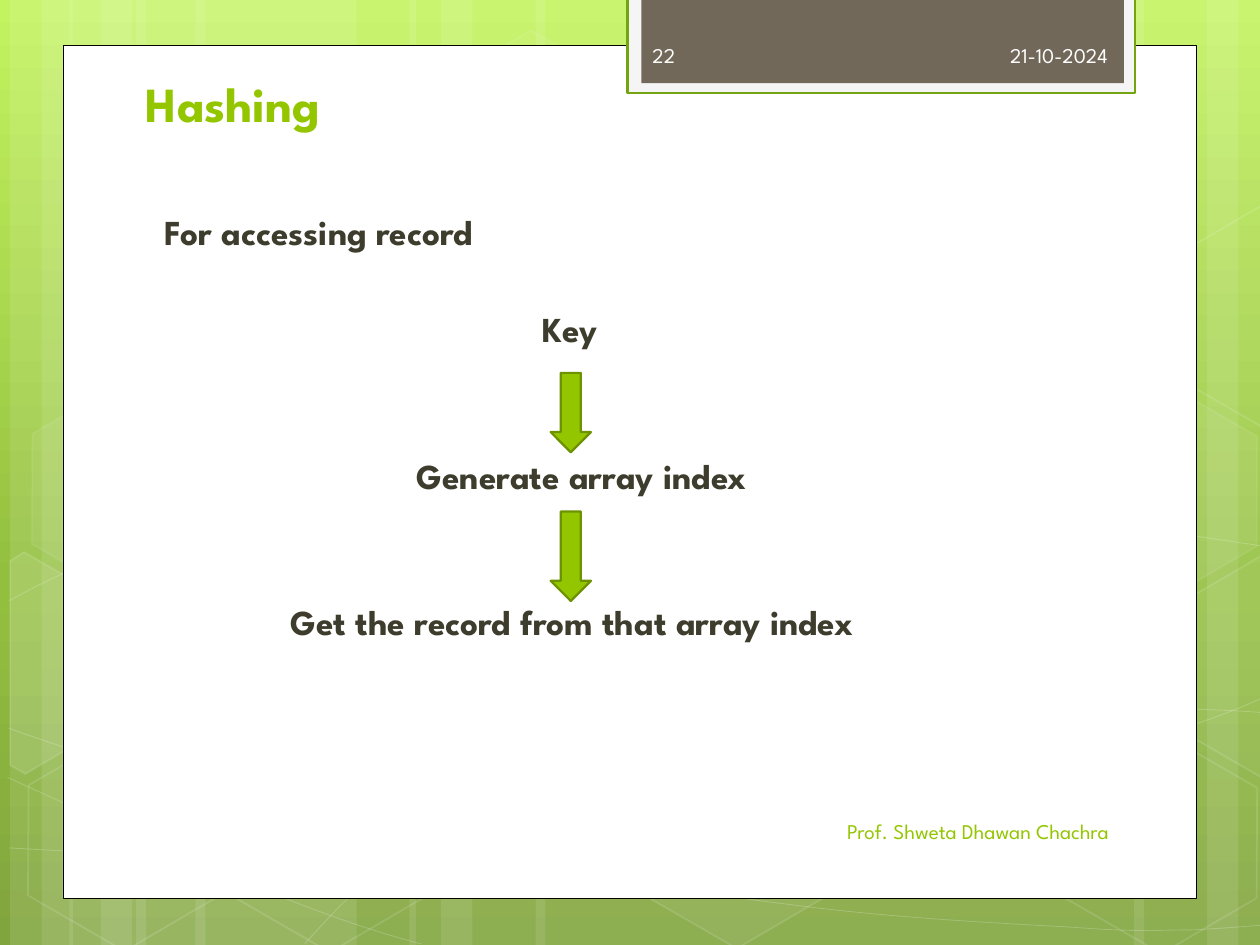
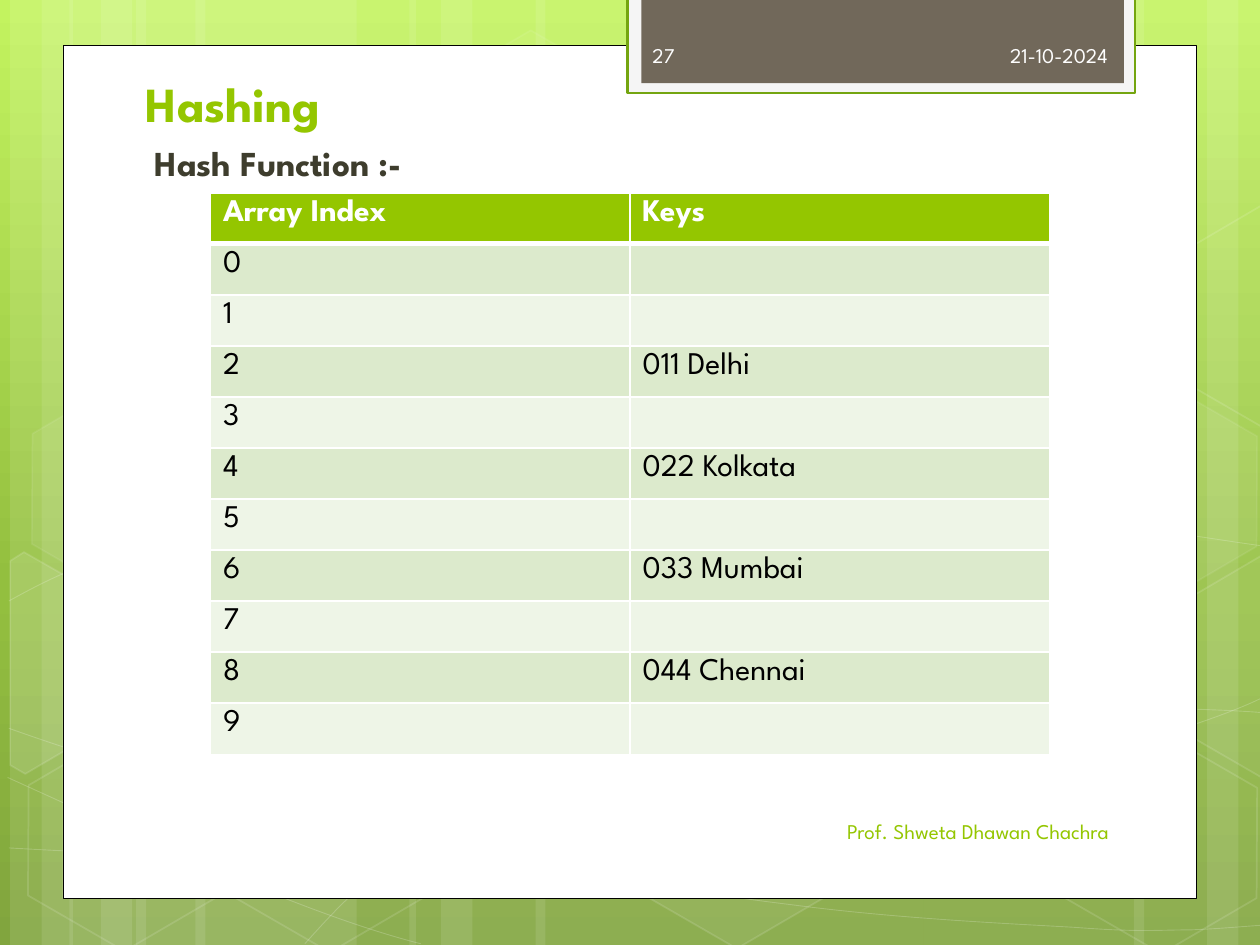
import copy
import math

import lxml.etree
import pptx
import pptx.dml.color
import pptx.enum.shapes
import pptx.enum.text
import pptx.oxml.ns
import pptx.util

FONT = "League Spartan"
WHITE, LIME, DARK_LIME = "FFFFFF", "94C600", "6D9200"
INK, TAB_TEXT = "3E3D2D", "FEFEFE"
SKY = [(0, "C3F35F"), (0.62, "93BF3F"), (1, "81A53E")]

SHAPES = pptx.enum.shapes.MSO_SHAPE
LEFT, RIGHT = pptx.enum.text.PP_ALIGN.LEFT, pptx.enum.text.PP_ALIGN.RIGHT
TOP = pptx.enum.text.MSO_ANCHOR.TOP
MIDDLE = pptx.enum.text.MSO_ANCHOR.MIDDLE
BOTTOM = pptx.enum.text.MSO_ANCHOR.BOTTOM
qn = pptx.oxml.ns.qn

deck = pptx.Presentation()
deck.slide_width = pptx.util.Inches(10)
deck.slide_height = pptx.util.Inches(7.5)
col = deck.slide_width / 10
row = deck.slide_height / 7.5

bands = [(1.08, 1.75), (0.08, 0.5), (0.33, 0.83), (1.55, 1.75), (0.55, 0.5),
         (0.8, 0.83), (7.33, 1.75), (9.58, 0.5), (9, 0.83), (4.25, 3.08),
         (3.25, 0.5), (3.5, 0.83)]

curves = [
    [(0.07, 6.73), (0.61, 6.76), (1.15, 6.79), (1.9, 6.78), (2.65, 6.77),
     (3.58, 6.75), (4.58, 6.65), (5.58, 6.55), (7, 6.36), (7.92, 6.17),
     (8.83, 5.98), (9.77, 5.68), (10.07, 5.51)],
    [(0.07, 4.77), (0.36, 4.61), (0.65, 4.46), (1.21, 4.31), (1.78, 4.16),
     (2.59, 3.94), (3.47, 3.87), (4.36, 3.8), (5.44, 3.79), (6.54, 3.87),
     (7.64, 3.95), (9.47, 4.26), (10.07, 4.34)],
    [(0.06, 6.17), (1.27, 6.72), (2.47, 7.27), (3.34, 7.49)],
    [(0.07, 5.78), (0.38, 5.89), (0.7, 6), (1.28, 6.16), (1.86, 6.31),
     (2.73, 6.56), (3.57, 6.73), (4.4, 6.9), (5.45, 7.08), (6.28, 7.18),
     (7.11, 7.29), (8, 7.33), (8.53, 7.36), (9.05, 7.4), (9.19, 7.38),
     (9.45, 7.38), (9.71, 7.37), (9.89, 7.35), (10.07, 7.34)],
    [(2.42, 7.49), (2.6, 7.29), (2.78, 7.09), (3.02, 6.91), (3.26, 6.73),
     (3.6, 6.53), (3.88, 6.39), (4.16, 6.25), (4.33, 6.19), (4.7, 6.09),
     (5.06, 5.99), (5.73, 5.85), (6.08, 5.78), (6.44, 5.71), (6.49, 5.71),
     (6.8, 5.69), (7.11, 5.66), (7.6, 5.63), (7.94, 5.62), (8.29, 5.61),
     (9.53, 5.61), (10.06, 5.66)],
]

hexagons = [(3.34, 0.36, 4, 8), (4.97, 5.89, 6, 12), (0.11, 5.91, 0, 12),
            (0.14, 3.12, 7, 8), (1.74, 5.92, 0, 12), (7.53, 4.53, 10, 12),
            (8.34, 5.93, 0, 12), (8.34, 3.14, 7, 8)]
TILT = 30

cut_hexagons = [
    ((0.36, 5.35), [(0.08, 4.45), (0.19, 4.38), (0.96, 4.82), (0.95, 5.7),
                    (0.2, 6.14), (0.08, 6.07)], 10),
    ((9.85, 5.2), [(9.26, 4.85), (10.01, 4.41), (10.09, 4.46), (10.09, 6.13),
                   (10.02, 6.17), (9.26, 5.73)], 4),
    ((9.85, 2.41), [(9.26, 2.07), (10.01, 1.63), (10.1, 1.68), (10.09, 3.35),
                    (10.02, 3.39), (9.26, 2.95)], 0),
]

frames = [(0.5, 0.36, 9, 6.77, WHITE, "000000", 0.5),
          (4.98, -0.02, 4.03, 0.76, "F5F5F5", "74A510", 1.25),
          (5.09, -0.02, 3.83, 0.68, "71685A", None, 0)]
arrows = [(4.37, 2.96, 0.32, 0.63, LIME, DARK_LIME, 1.25),
          (4.37, 4.06, 0.32, 0.71, LIME, DARK_LIME, 1.25)]


def tint(fill, colour):
    if colour:
        fill.solid()
        fill.fore_color.rgb = pptx.dml.color.RGBColor.from_string(colour)
    else:
        fill.background()


def write(slide, left, top, width, height, text, size, colour,
          bold=False, align=LEFT, anchor=TOP):
    frame = slide.shapes.add_textbox(
        int(left * col), int(top * row), int(width * col), int(height * row)).text_frame
    frame.word_wrap = True
    frame.vertical_anchor = anchor
    frame.text = text
    for paragraph in frame.paragraphs:
        paragraph.alignment = align
        for run in paragraph.runs:
            run.font.name, run.font.bold = FONT, bold
            run.font.size = pptx.util.Pt(size)
            tint(run.font.fill, colour)
    return frame


slides = []
for number in ("22", "27"):
    slide = deck.slides.add_slide(deck.slide_layouts[6])
    slides.append(slide)

    sky = slide.background.fill
    sky.gradient()
    sky.gradient_angle = 270
    stops = slide.element.find(".//" + qn("a:gsLst"))
    stops.append(copy.deepcopy(stops[-1]))
    for stop, (position, colour) in zip(sky.gradient_stops, SKY):
        stop.position = position
        stop.color.rgb = pptx.dml.color.RGBColor.from_string(colour)

    veils = []
    for left, width in bands:
        band = slide.shapes.add_shape(
            SHAPES.RECTANGLE, int(left * col), 0, int(width * col), deck.slide_height)
        veils.append((band, 10, 0, 0))

    for controls in curves:
        points = [(x * col, y * row) for x, y in controls]
        builder = slide.shapes.build_freeform(*points[0])
        builder.add_line_segments(points[1:], close=False)
        curve = builder.convert_to_shape()
        outline = curve.element.find(".//" + qn("a:path"))
        segments = outline.findall(qn("a:lnTo"))
        for first in range(0, len(segments), 3):
            bend = lxml.etree.SubElement(outline, qn("a:cubicBezTo"))
            for segment in segments[first:first + 3]:
                bend.append(segment[0])
                outline.remove(segment)
        veils.append((curve, 0, 20, 0.5))

    for left, top, fill_share, line_share in hexagons:
        hexagon = slide.shapes.add_shape(
            SHAPES.HEXAGON, int(left * col), int(top * row), int(1.75 * col), int(1.52 * row))
        hexagon.adjustments[0] = 0.285
        hexagon.rotation = TILT
        veils.append((hexagon, fill_share, line_share, 1))

    cos, sin = math.cos(math.radians(TILT)), math.sin(math.radians(TILT))
    for (mid_x, mid_y), corners, fill_share in cut_hexagons:
        offsets = [(x - mid_x, y - mid_y) for x, y in corners]
        points = [((mid_x + x * cos + y * sin) * col, (mid_y - x * sin + y * cos) * row)
                  for x, y in offsets]
        builder = slide.shapes.build_freeform(*points[0])
        builder.add_line_segments(points[1:], close=True)
        cut_hexagon = builder.convert_to_shape()
        cut_hexagon.rotation = TILT
        veils.append((cut_hexagon, fill_share, 12, 1))

    for veil, fill_share, line_share, weight in veils:
        veil.shadow.inherit = False
        veil.line.width = pptx.util.Pt(weight)
        tint(veil.fill, WHITE if fill_share else None)
        tint(veil.line.fill, WHITE if line_share else None)
        shares = [share for share in (fill_share, line_share) if share]
        for colour, share in zip(veil.element.spPr.iter(qn("a:srgbClr")), shares):
            lxml.etree.SubElement(colour, qn("a:alpha")).set("val", str(share * 1000))

    blocks = [(SHAPES.RECTANGLE, frame) for frame in frames]
    if number == "22":
        blocks += [(SHAPES.DOWN_ARROW, arrow) for arrow in arrows]
    for kind, (left, top, width, height, fill, edge, weight) in blocks:
        block = slide.shapes.add_shape(
            kind, int(left * col), int(top * row), int(width * col), int(height * row))
        block.shadow.inherit = False
        block.line.width = pptx.util.Pt(weight)
        tint(block.fill, fill)
        tint(block.line.fill, edge)

    write(slide, 1.06, 0.52, 7.68, 0.58, "Hashing", 28, LIME, bold=True, anchor=BOTTOM)
    write(slide, 6.56, 0.24, 2.33, 0.4, "21-10-2024", 12, TAB_TEXT,
          align=RIGHT, anchor=MIDDLE)
    write(slide, 5.08, 6.4, 3.82, 0.4, "Prof. Shweta Dhawan Chachra", 12, LIME,
          align=RIGHT, anchor=MIDDLE)
    write(slide, 5.08, 0.24, 1.46, 0.4, number, 12, TAB_TEXT, anchor=MIDDLE)

access_slide, function_slide = slides

steps = [("For accessing record", 0, 0), ("Key", 3, 2), ("Generate array index", 2, 3),
         ("Get the record from that array index", 1, 3)]
access = write(access_slide, 1.21, 1.62, 7.34, 4.75,
               "\n".join(text for text, indent, lines in steps), 20, INK, bold=True)
for paragraph, (text, indent, lines) in zip(access.paragraphs, steps):
    paragraph._p.get_or_add_pPr().set("marL", str(int(indent * col)))
    if lines:
        paragraph.space_before = pptx.util.Pt(lines * 28 - 24.4)

write(function_slide, 1.13, 1.07, 7.34, 0.4, "Hash Function :-", 20, INK, bold=True)

cities = {2: "011 Delhi", 4: "022 Kolkata", 6: "033 Mumbai", 8: "044 Chennai"}
records = [("Array Index", "Keys")] + [(str(i), cities.get(i, "")) for i in range(10)]
hash_table = function_slide.shapes.add_table(
    len(records), 2, int(1.67 * col), int(1.53 * row),
    int(6.66 * col), int(4.46 * row)).table
hash_table.horz_banding = False
for r, record in enumerate(records):
    for c, text in enumerate(record):
        cell = hash_table.cell(r, c)
        cell.text = text
        tint(cell.fill, LIME if r == 0 else ("EEF5E7", "DCEACC")[r % 2])
        cell.text_frame.paragraphs[0].font.size = pptx.util.Pt(18)
        for run in cell.text_frame.paragraphs[0].runs:
            run.font.name, run.font.bold = FONT, r == 0
            run.font.size = pptx.util.Pt(18)
            tint(run.font.fill, WHITE if r == 0 else "000000")
        for place, side in enumerate("LRTB"):
            thick = (r, side) in ((0, "B"), (1, "T"))
            border = lxml.etree.Element(qn("a:ln" + side))
            border.set("w", str(pptx.util.Pt(3 if thick else 1)))
            paint = lxml.etree.SubElement(border, qn("a:solidFill"))
            lxml.etree.SubElement(paint, qn("a:srgbClr")).set("val", WHITE)
            cell._tc.get_or_add_tcPr().insert(place, border)

deck.save("out.pptx")
